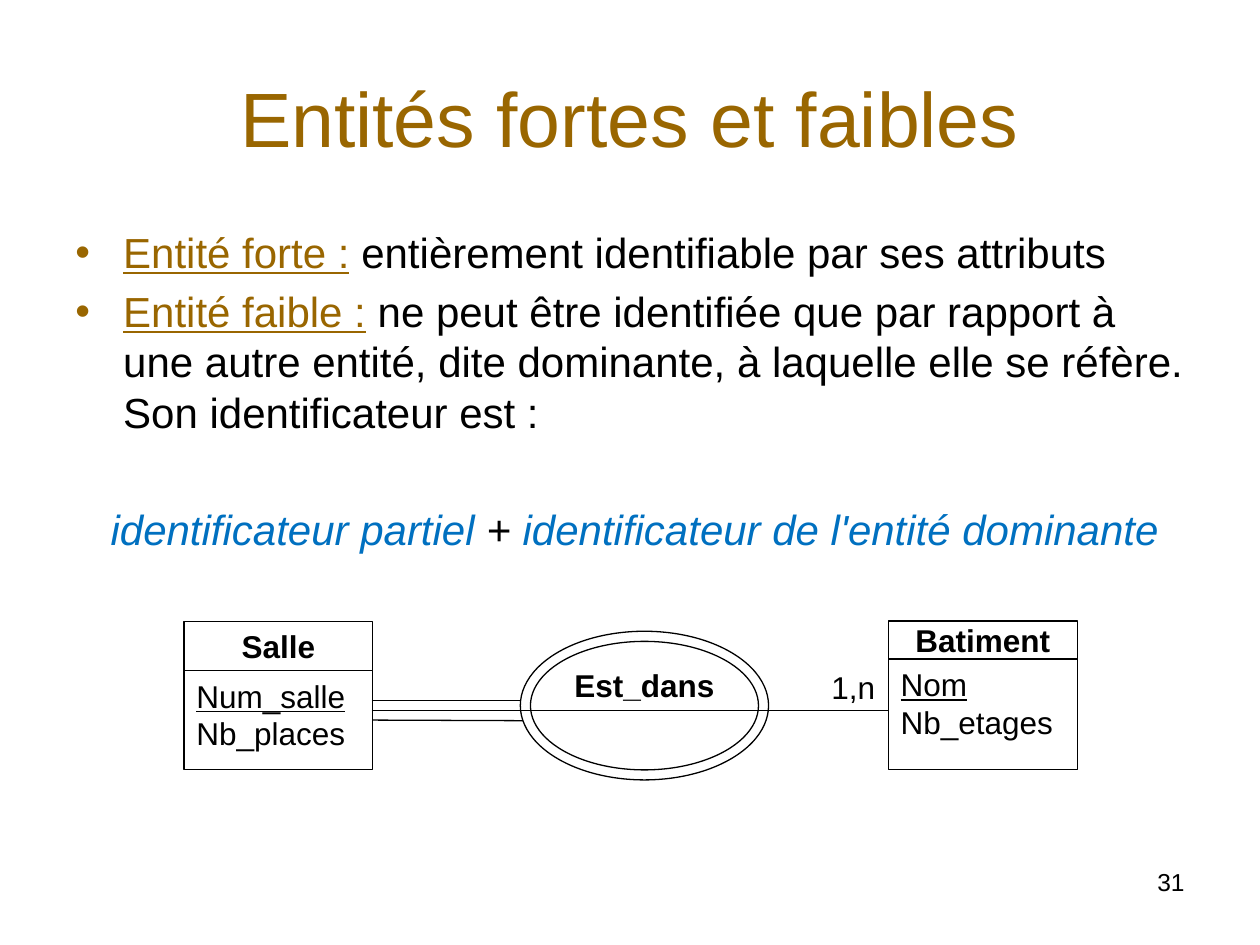
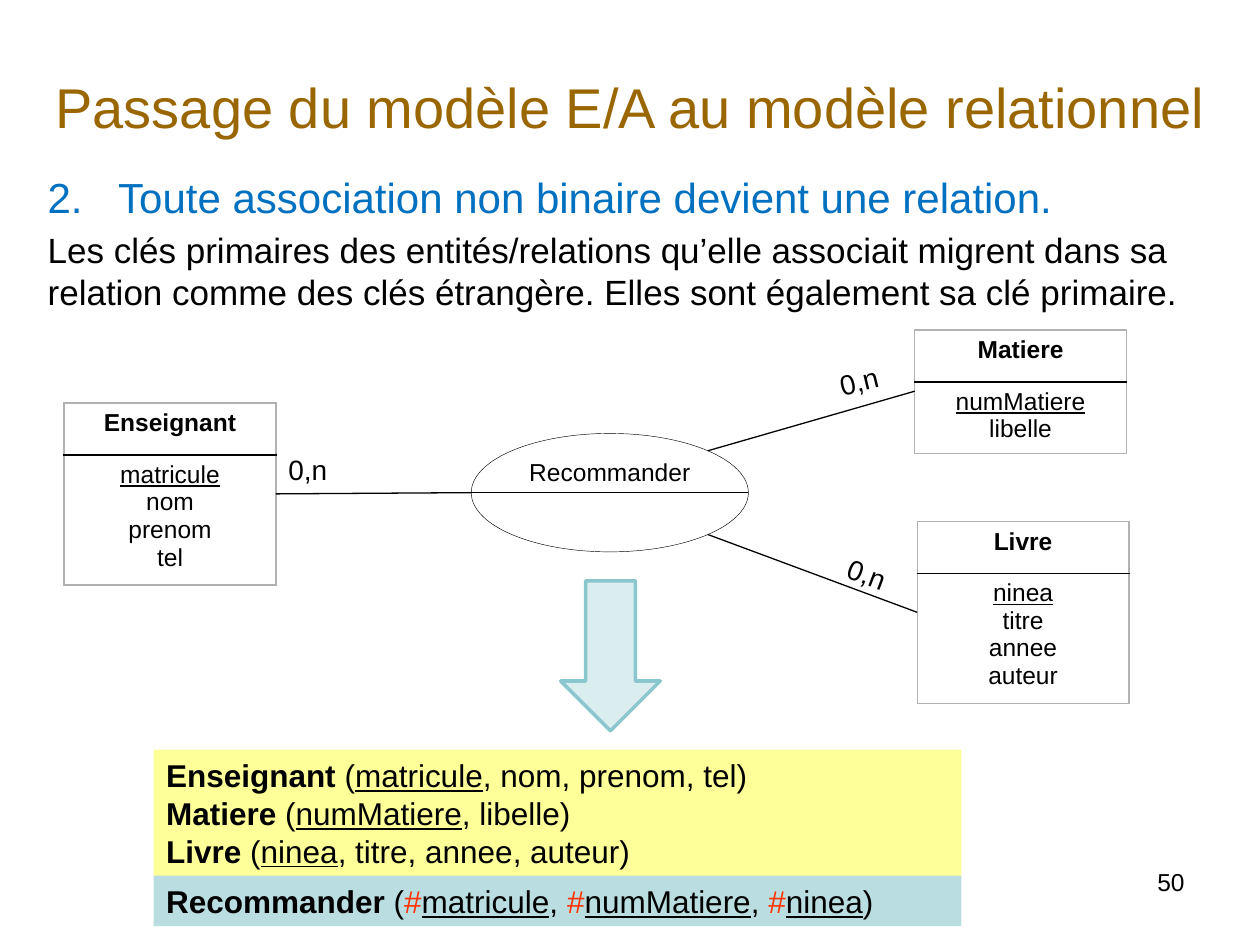
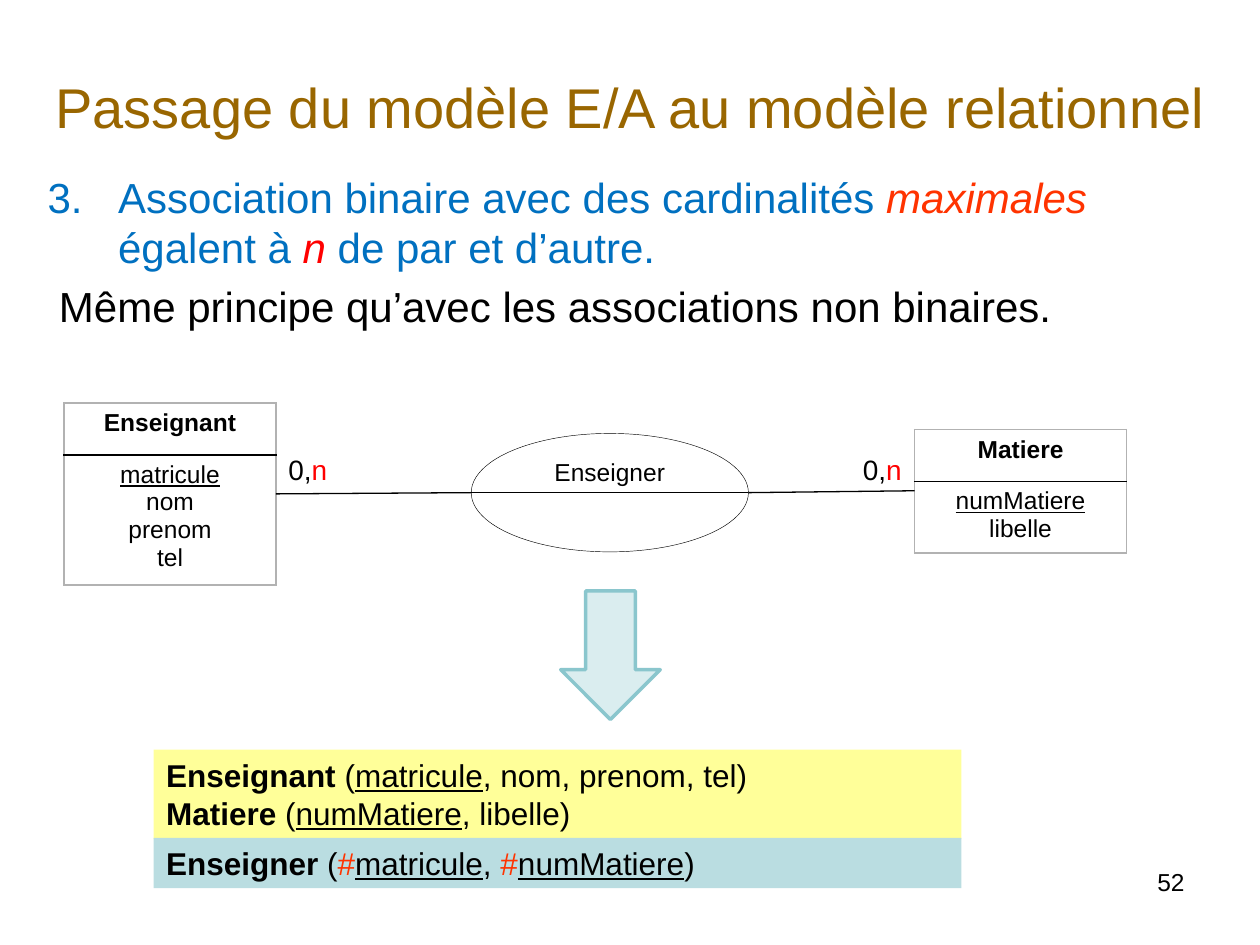
from dataclasses import dataclass, replace
from math import sqrt
from typing import NamedTuple, Optional

from lxml.etree import SubElement
from pptx import Presentation
from pptx.dml.color import RGBColor
from pptx.enum.shapes import MSO_CONNECTOR, MSO_SHAPE
from pptx.enum.text import MSO_ANCHOR, MSO_AUTO_SIZE, PP_ALIGN
from pptx.oxml.ns import qn
from pptx.util import Inches, Pt


@dataclass(frozen=True)
class Theme:
    font: str = "Arial"
    black: str = "000000"
    white: str = "FFFFFF"
    brown: str = "996600"
    blue: str = "0070C0"
    orange: str = "FF3300"
    red: str = "FF0000"
    grey: str = "B2B2B2"
    yellow: str = "FFFF99"
    teal: str = "BADDE1"
    pale: str = "DAEDEF"
    edge: str = "8AC6CD"
    huge: int = 44
    head: int = 32
    lead: int = 24
    body: int = 20
    text: int = 18
    card: int = 16
    small: int = 14


T = Theme()


class Box(NamedTuple):
    x: float
    y: float
    w: float
    h: float

    def emu(self) -> tuple:
        return tuple(Inches(v) for v in self)


@dataclass(frozen=True)
class Run:
    text: str
    color: Optional[str] = None
    bold: Optional[bool] = None
    under: Optional[bool] = None
    ital: Optional[bool] = None


@dataclass(frozen=True)
class Para:
    runs: tuple
    size: int = T.text
    color: str = T.black
    bold: Optional[bool] = None
    under: Optional[bool] = None
    ital: Optional[bool] = None
    align: Optional[PP_ALIGN] = None
    space: float = 0
    left: float = 0
    hang: float = 0
    mark: str = ""
    start: int = 0


@dataclass(frozen=True)
class Entity:
    name: str
    key: str
    rest: tuple

    def plain(self) -> Para:
        return Para((Run(self.name, bold=True), Run(" ("), Run(self.key, under=True),
                     Run(", " + ", ".join(self.rest) + ")")))


TEACHER = Entity("Enseignant", "matricule", ("nom", "prenom", "tel"))
TOPIC = Entity("Matiere", "numMatiere", ("libelle",))
BOOK = Entity("Livre", "ninea", ("titre", "annee", "auteur"))
OVAL = Box(3.74, 3.44, 2.2, 0.94)
MID = OVAL.y + OVAL.h / 2
HEAD = 0.41


def rgb(code: str) -> RGBColor:
    return RGBColor.from_string(code)


def style(font, item) -> None:
    if item.color:
        font.color.rgb = rgb(item.color)
    if item.bold is not None:
        font.bold = item.bold
    if item.under is not None:
        font.underline = item.under
    if item.ital is not None:
        font.italic = item.ital


def bullet(props, item: Para) -> None:
    SubElement(SubElement(props, qn("a:buClr")), qn("a:srgbClr"), val=T.brown if item.mark else item.color)
    SubElement(props, qn("a:buFont"), typeface=T.font)
    if item.mark:
        SubElement(props, qn("a:buChar"), char=item.mark)
    else:
        SubElement(props, qn("a:buAutoNum"), type="arabicPeriod", startAt=str(item.start))


def write(frame, *paras: Para) -> None:
    for i, item in enumerate(paras):
        para = frame.add_paragraph() if i else frame.paragraphs[0]
        if item.align is not None:
            para.alignment = item.align
        if i and item.space:
            para.space_before = Pt(item.space)
        props = para._p.get_or_add_pPr()
        if item.left:
            props.set("marL", str(Inches(item.left)))
            props.set("indent", str(Inches(-item.hang)))
        if item.mark or item.start:
            bullet(props, item)
        para.font.name = T.font
        para.font.size = Pt(item.size)
        style(para.font, item)
        for part in item.runs:
            run = para.add_run()
            run.text = part.text
            style(run.font, part)


def line(text: str, **opts) -> Para:
    return Para((Run(text),), **opts)


def center(text: str, **opts) -> Para:
    return line(text, align=PP_ALIGN.CENTER, **opts)


def label(slide, box: Box, *paras: Para, turn: float = 0) -> None:
    shape = slide.shapes.add_textbox(*box.emu())
    shape.text_frame.word_wrap = True
    shape.rotation = turn
    write(shape.text_frame, *paras)


def form(slide, kind: MSO_SHAPE, box: Box, *paras: Para, fill: str = "", edge: str = "",
         width: float = 0.75, wrap: bool = True, anchor: MSO_ANCHOR = MSO_ANCHOR.TOP):
    shape = slide.shapes.add_shape(kind, *box.emu())
    shape.shadow.inherit = False
    if fill:
        shape.fill.solid()
        shape.fill.fore_color.rgb = rgb(fill)
    else:
        shape.fill.background()
    if edge:
        shape.line.color.rgb = rgb(edge)
        shape.line.width = Pt(width)
    else:
        shape.line.fill.background()
    shape.text_frame.word_wrap = wrap
    shape.text_frame.vertical_anchor = anchor
    write(shape.text_frame, *(replace(p, align=p.align or PP_ALIGN.LEFT) for p in paras))
    return shape


def link(slide, x1: float, y1: float, x2: float, y2: float):
    wire = slide.shapes.add_connector(
        MSO_CONNECTOR.STRAIGHT, Inches(x1), Inches(y1), Inches(x2), Inches(y2))
    wire.line.color.rgb = rgb(T.black)
    wire.line.width = Pt(0.75)
    SubElement(wire._element.spPr, qn("a:effectLst"))
    return wire


def border(cell, **sides: str) -> None:
    props = cell._tc.get_or_add_tcPr()
    for i, (side, code) in enumerate(sides.items()):
        edge = props.makeelement(qn("a:ln" + side), {"w": str(Pt(1))})
        SubElement(SubElement(edge, qn("a:solidFill")), qn("a:srgbClr"), val=code)
        props.insert(i, edge)


def card(slide, x: float, y: float, item: Entity, high: float):
    frame = slide.shapes.add_table(2, 1, *Box(x, y, 1.68, high).emu())
    table = frame.table
    table.first_row = table.horz_banding = False
    table.rows[0].height = Inches(HEAD)
    table.rows[1].height = Inches(high - HEAD)
    top, low = table.cell(0, 0), table.cell(1, 0)
    for cell in (top, low):
        cell.fill.background()
    border(top, L=T.grey, R=T.grey, T=T.grey, B=T.black)
    border(low, L=T.grey, R=T.grey, T=T.black, B=T.grey)
    write(top.text_frame, center(item.name, size=T.small, bold=True))
    write(low.text_frame, center(item.key, size=T.small, under=True),
          *(center(name, size=T.small) for name in item.rest))
    return frame


def page(deck, title: str, num: int, box: Box, size: int):
    slide = deck.slides.add_slide(deck.slide_layouts[5])
    head = slide.shapes.title
    head.left, head.top, head.width, head.height = box.emu()
    head.text_frame.word_wrap = True
    head.text_frame.auto_size = MSO_AUTO_SIZE.NONE
    head.text_frame.vertical_anchor = MSO_ANCHOR.MIDDLE
    write(head.text_frame, center(title, size=size, color=T.brown))
    label(slide, Box(7.17, 6.83, 2.33, 0.52), line(str(num), size=T.small, align=PP_ALIGN.RIGHT))
    return slide


def block(slide, x: float, y: float, head: float, item: Entity):
    look = dict(edge=T.black, wrap=False)
    form(slide, MSO_SHAPE.RECTANGLE, Box(x, y, 1.5, head), center(item.name, bold=True),
         anchor=MSO_ANCHOR.MIDDLE, **look)
    return form(slide, MSO_SHAPE.RECTANGLE, Box(x, y + head, 1.5, 1.18 - head),
                line(item.key, under=True), *(line(name) for name in item.rest), **look)


def weak(deck) -> None:
    slide = page(deck, "Entités fortes et faibles", 31, Box(0, 0.3, 10, 1.25), T.huge)
    item = dict(size=T.lead, space=4.8, left=0.38, hang=0.38, mark="•")
    label(
        slide, Box(0.5, 1.75, 9, 5.31),
        Para((Run("Entité forte :", T.brown, under=True),
              Run(" entièrement identifiable par ses attributs")), **item),
        Para((Run("Entité faible :", T.brown, under=True),
              Run(" ne peut être identifiée que par rapport à une autre entité, dite dominante, "
                  "à laquelle elle se réfère. Son identificateur est :")), **item),
        Para((Run("identificateur partiel "), Run("+", T.black),
              Run(" identificateur de l'entité dominante")),
             size=T.lead, color=T.blue, ital=True, space=38, left=0.28))
    room = block(slide, 1.46, 4.93, 0.39, Entity("Salle", "Num_salle", ("Nb_places",)))
    block(slide, 7.05, 4.93, 0.3, Entity("Batiment", "Nom", ("Nb_etages",)))
    form(slide, MSO_SHAPE.OVAL, Box(4.21, 5.09, 1.81, 1.02), center("Est_dans", bold=True),
         edge=T.black, wrap=False)
    link(slide, 2.95, 5.64, 7.05, 5.64)
    label(slide, Box(6.5, 5.25, 0.55, 0.4), line("1,n"))
    form(slide, MSO_SHAPE.OVAL, Box(4.13, 5.01, 1.97, 1.18), edge=T.black)
    link(slide, 2.95, 5.56, 4.13, 5.56)
    link(slide, 2.95, 5.72, 4.15, 5.72).begin_connect(room, 3)


def model(deck, num: int, name: str, items: tuple, arrow: Box, *paras: Para):
    slide = page(deck, "Passage du modèle E/A au modèle relationnel", num,
                 Box(0.2, 0.3, 9.61, 1.09), T.head)
    label(slide, Box(0.28, 1.31, 9.53, 1.45), *paras)
    high = 0.11 + 0.3 * len(items)
    form(slide, MSO_SHAPE.RECTANGLE, Box(1.22, 5.95, 6.41, high),
         *(item.plain() for item in items), fill=T.yellow)
    form(slide, MSO_SHAPE.DOWN_ARROW, arrow, fill=T.pale, edge=T.edge, width=2)
    left = card(slide, 0.51, 3.2, TEACHER, 1.44)
    form(slide, MSO_SHAPE.OVAL, OVAL, center(name, size=T.small),
         fill=T.white, edge=T.black, width=0.25)
    link(slide, OVAL.x, MID, OVAL.x + OVAL.w, MID)
    link(slide, OVAL.x, MID, 2.19, 3.92).end_connect(left, 3)
    keys = []
    for i, item in enumerate(items):
        keys += [Run(", ")] if i else []
        keys += [Run("#", T.orange), Run(item.key, under=True)]
    form(slide, MSO_SHAPE.RECTANGLE, Box(1.22, 5.94 + high, 6.41, 0.4),
         Para((Run(name, bold=True), Run(" ("), *keys, Run(")"))), fill=T.teal)
    return slide


def count(slide, x: float, y: float, color: str = T.black, turn: float = 0) -> None:
    runs = (Run("0,n"),) if color == T.black else (Run("0,"), Run("n", color))
    label(slide, Box(x, y, 0.77, 0.37), Para(runs, size=T.card), turn=turn)


def many(deck) -> None:
    slide = model(
        deck, 50, "Recommander", (TEACHER, TOPIC, BOOK), Box(4.45, 4.61, 0.79, 1.19),
        line("Toute association non binaire devient une relation.",
             size=T.lead, color=T.blue, left=0.56, hang=0.56, start=2),
        line("Les clés primaires des entités/relations qu’elle associait migrent dans sa "
             "relation comme des clés étrangère. Elles sont également sa clé primaire.",
             size=T.body, space=4))
    dx, dy = OVAL.w / 2 / sqrt(2), OVAL.h / 2 / sqrt(2)
    mid = OVAL.x + OVAL.w / 2
    for x, y, item, high, side in ((7.26, 2.62, TOPIC, 0.97, -1), (7.28, 4.14, BOOK, 1.44, 1)):
        frame = card(slide, x, y, item, high)
        link(slide, mid + dx, MID + side * dy, x, y + high / 2).end_connect(frame, 1)
    count(slide, 2.19, 3.54)
    count(slide, 6.62, 4.42, turn=21)
    count(slide, 6.56, 2.81, turn=346.3)


def pair(deck) -> None:
    slide = model(
        deck, 52, "Enseigner", (TEACHER, TOPIC), Box(4.45, 4.69, 0.79, 1.02),
        Para((Run("Association binaire avec des cardinalités "),
              Run("maximales ", T.orange, ital=True), Run("égalent à "),
              Run("n", T.red, ital=True), Run(" de par et d’autre.")),
             size=T.lead, color=T.blue, left=0.56, hang=0.56, start=3),
        line("Même principe qu’avec les associations non binaires.",
             size=T.lead, space=4.8, left=0.09))
    frame = card(slide, 7.26, 3.41, TOPIC, 0.97)
    link(slide, OVAL.x + OVAL.w, MID, 7.26, 3.89).end_connect(frame, 1)
    for x in (2.19, 6.75):
        count(slide, x, 3.54, T.red)


def main() -> None:
    deck = Presentation()
    deck.slide_width, deck.slide_height = Inches(10), Inches(7.5)
    for build in (weak, many, pair):
        build(deck)
    deck.save("out.pptx")


if __name__ == "__main__":
    main()
